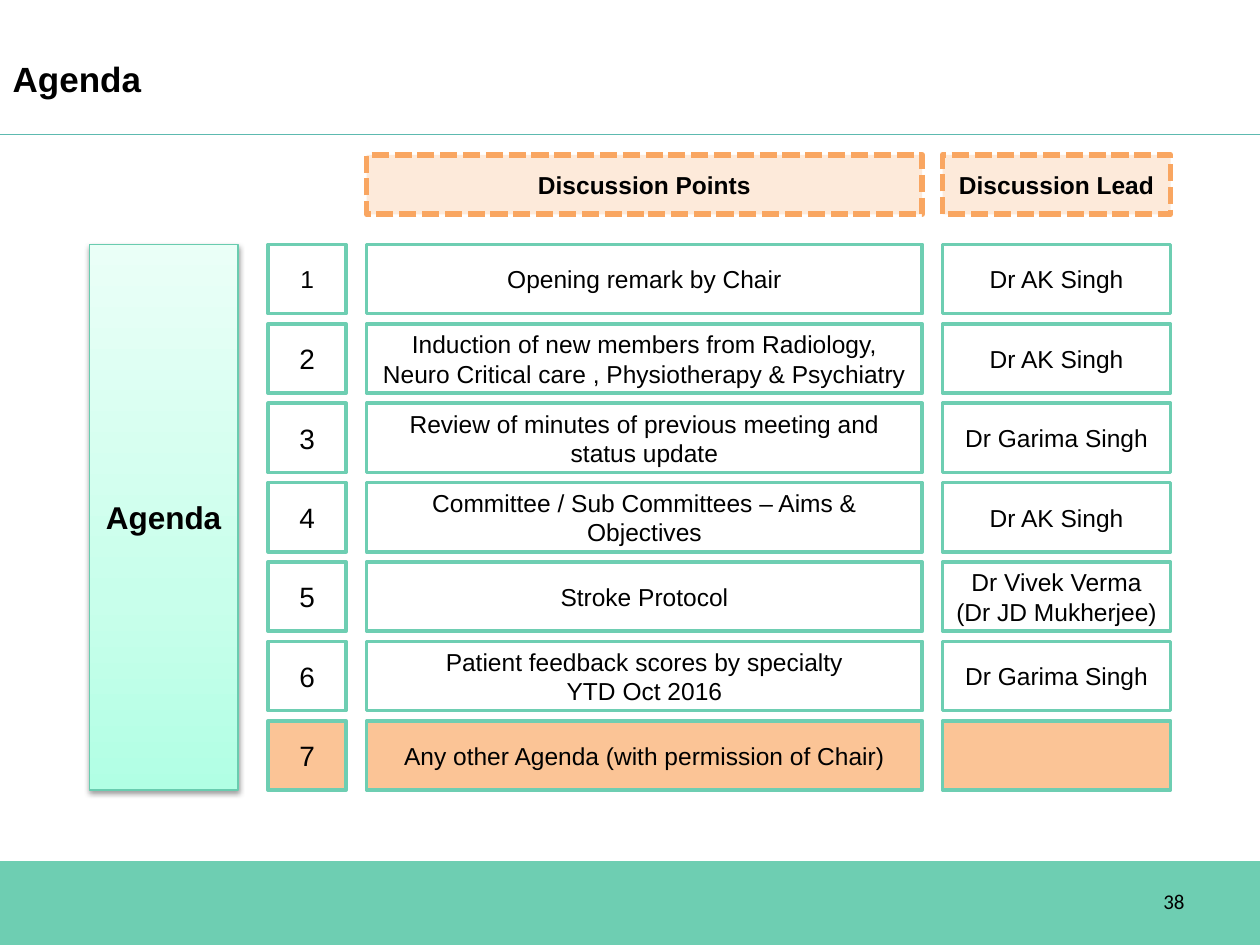
from copy import deepcopy

from lxml import etree
from pptx import Presentation
from pptx.dml.color import RGBColor
from pptx.enum import dml, shapes, text
from pptx.oxml import parse_xml
from pptx.oxml.ns import nsdecls, qn
from pptx.util import Pt

BLACK = RGBColor(0x00, 0x00, 0x00)
WHITE = RGBColor(0xFF, 0xFF, 0xFF)
GREEN = RGBColor(0x6E, 0xCE, 0xB2)
TEAL = RGBColor(0x5D, 0xBA, 0xB0)
PANEL_LINE = RGBColor(0x69, 0xCC, 0xAF)
PEACH = RGBColor(0xFD, 0xEA, 0xDA)
APRICOT = RGBColor(0xFB, 0xC4, 0x96)
ORANGE = RGBColor(0xF9, 0xA6, 0x61)
PANEL_STOPS = [
    (0, RGBColor(0xB1, 0xFF, 0xE4)),
    (0.35, RGBColor(0xC8, 0xFF, 0xEB)),
    (1, RGBColor(0xEA, 0xFF, 0xF7)),
]

NUMBER = {"left": 153.2, "width": 44.6, "inset": (0, 0)}
TOPIC = {"left": 209.5, "width": 317.5, "inset": (5.76, 2.88)}
LEAD = {"left": 538.6, "width": 130.3, "inset": (5.76, 2.88)}
ROW_TOP, ROW_HEIGHT, ROW_PITCH = 139.7, 39.6, 45.36

AGENDA = [
    ("Opening remark by Chair", "Dr AK Singh"),
    ("Induction of new members from Radiology, Neuro Critical care , "
     "Physiotherapy & Psychiatry", "Dr AK Singh"),
    ("Review of minutes of previous meeting and status update", "Dr Garima Singh"),
    ("Committee / Sub Committees – Aims & Objectives", "Dr AK Singh"),
    ("Stroke Protocol", "Dr Vivek Verma (Dr JD Mukherjee)"),
    ("Patient feedback scores by specialty\nYTD Oct 2016", "Dr Garima Singh"),
    ("Any other Agenda (with permission of Chair)", ""),
]


def write(shape, words, size, align=text.PP_ALIGN.CENTER, bold=False,
          font="Arial", inset=(7.2, 3.6)):
    """Fill a shape with vertically centred text, one paragraph per line."""
    frame = shape.text_frame
    frame.text = words
    across, down = inset
    layout = {
        "word_wrap": True, "vertical_anchor": text.MSO_ANCHOR.MIDDLE,
        "margin_left": Pt(across), "margin_right": Pt(across),
        "margin_top": Pt(down), "margin_bottom": Pt(down),
    }
    for name, value in layout.items():
        setattr(frame, name, value)
    for paragraph in frame.paragraphs:
        paragraph.alignment = align
        for name, value in {"name": font, "size": Pt(size), "bold": bold}.items():
            setattr(paragraph.font, name, value)
        paragraph.font.color.rgb = BLACK


def add_box(left, top, width, height, fill, line, line_width):
    shape = slide.shapes.add_shape(
        shapes.MSO_SHAPE.RECTANGLE, Pt(left), Pt(top), Pt(width), Pt(height))
    shape.shadow.inherit = False
    shape.fill.solid()
    shape.fill.fore_color.rgb = fill
    if line is None:
        shape.line.fill.background()
    else:
        shape.line.color.rgb = line
        shape.line.width = Pt(line_width)
    return shape


presentation = Presentation()
presentation.slide_width, presentation.slide_height = Pt(720), Pt(540)
slide = presentation.slides.add_slide(presentation.slide_layouts[5])

# Title, rule and footer
title = slide.shapes.title
title.left, title.top, title.width, title.height = Pt(0), Pt(11.5), Pt(648), Pt(66.2)
write(title, "Agenda", 20, align=text.PP_ALIGN.LEFT, bold=True)

rule = slide.shapes.add_connector(
    shapes.MSO_CONNECTOR.STRAIGHT, Pt(0), Pt(77), Pt(720), Pt(77))
rule.line.color.rgb = TEAL
rule.line.width = Pt(0.75)
etree.SubElement(rule.element.spPr, qn("a:effectLst"))

add_box(0, 492, 720, 48, GREEN, None, 0)
page_number = slide.shapes.add_textbox(Pt(516), Pt(500.5), Pt(168), Pt(28.8))
write(page_number, "38", 12, align=text.PP_ALIGN.RIGHT, font="Calibri")

# Side panel with gradient and soft shadow
panel_height = ROW_PITCH * (len(AGENDA) - 1) + ROW_HEIGHT
panel = add_box(51, ROW_TOP, 85, panel_height, WHITE, PANEL_LINE, 0.75)
panel.fill.gradient()
panel.fill.gradient_angle = 90
stop_list = panel.element.spPr.find(".//" + qn("a:gsLst"))
stop_list.append(deepcopy(stop_list[-1]))
for stop, (position, color) in zip(panel.fill.gradient_stops, PANEL_STOPS):
    stop.position = position
    stop.color.rgb = color
panel.element.spPr.find(qn("a:effectLst")).append(parse_xml(
    f'<a:outerShdw {nsdecls("a")} blurRad="{Pt(3.1)}" dist="{Pt(1.6)}" '
    'dir="5400000" rotWithShape="0"><a:srgbClr val="000000">'
    '<a:alpha val="38000"/></a:srgbClr></a:outerShdw>'))
write(panel, "Agenda", 18, bold=True)

# Column headings
for column, heading in ((TOPIC, "Discussion Points"), (LEAD, "Discussion Lead")):
    box = add_box(column["left"], 88.5, column["width"], 34, PEACH, ORANGE, 3.25)
    box.line.dash_style = dml.MSO_LINE.SQUARE_DOT
    write(box, heading, 14, bold=True, inset=column["inset"])

# Agenda rows; the closing item is highlighted
for index, (topic, lead) in enumerate(AGENDA):
    top = ROW_TOP + index * ROW_PITCH
    fill = APRICOT if index == len(AGENDA) - 1 else WHITE
    number_size = 14 if index == 0 else 16
    cells = ((TOPIC, topic, 14), (NUMBER, str(index + 1), number_size), (LEAD, lead, 14))
    for column, words, size in cells:
        box = add_box(column["left"], top, column["width"], ROW_HEIGHT, fill, GREEN, 2)
        if words:
            write(box, words, size, inset=column["inset"])

presentation.save("out.pptx")
